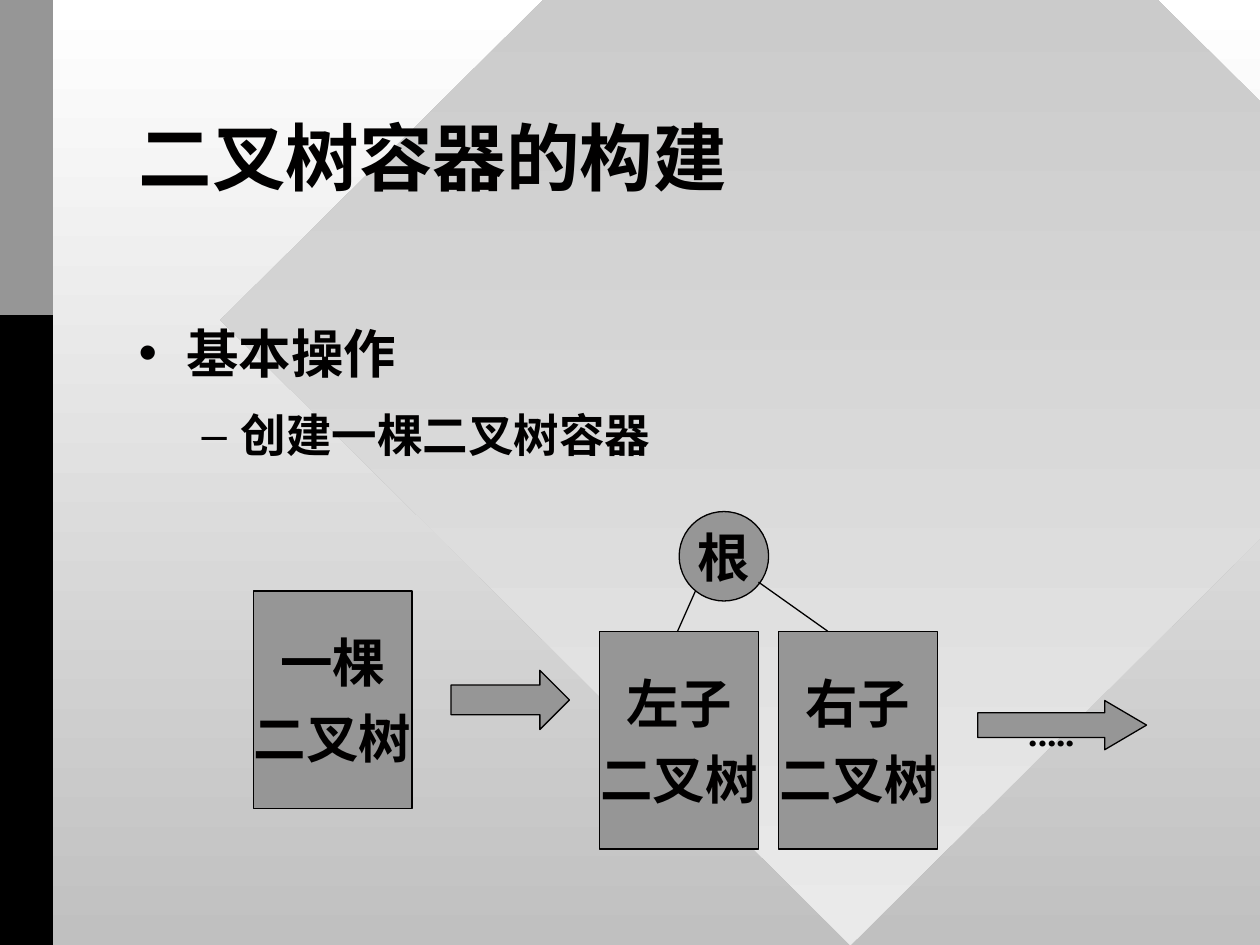
import lxml.etree
import pptx
import pptx.util
import pptx.dml.color
import pptx.enum.shapes
import pptx.enum.text
import pptx.oxml.ns

Inches, Pt = pptx.util.Inches, pptx.util.Pt
RGBColor = pptx.dml.color.RGBColor
MSO_SHAPE = pptx.enum.shapes.MSO_SHAPE
PP_ALIGN = pptx.enum.text.PP_ALIGN
MSO_ANCHOR = pptx.enum.text.MSO_ANCHOR
MSO_AUTO_SIZE = pptx.enum.text.MSO_AUTO_SIZE

INK = RGBColor(0x01, 0x00, 0x00)
BLACK = RGBColor(0x00, 0x00, 0x00)
WHITE = RGBColor(0xFF, 0xFF, 0xFF)
GRAY = RGBColor(0x96, 0x96, 0x96)
SILVER = RGBColor(0xC0, 0xC0, 0xC0)
PALE = RGBColor(0xEA, 0xEA, 0xEA)


def add_xml(parent, tag, **attributes):
    return lxml.etree.SubElement(parent, pptx.oxml.ns.qn(tag), **attributes)


class SlideBuilder:
    font = "Karla"
    size = 30
    line_width = 0.75

    def __init__(self, slide):
        self.s = slide

    def style(self, p, size=None, bold=True):
        p.font.name = self.font
        p.font.size = Pt(size or self.size)
        p.font.bold = bold
        p.font.color.rgb = INK

    def gradient(self, fill, top, bottom):
        fill.gradient()
        fill.gradient_angle = 270
        for stop, color in zip(fill.gradient_stops, (top, bottom)):
            stop.color.rgb = color

    def shape(self, kind, box, color=None):
        sp = self.s.shapes.add_shape(kind, *map(Inches, box))
        sp.shadow.inherit = False
        sp.line.fill.background()
        if color is not None:
            sp.fill.solid()
            sp.fill.fore_color.rgb = color
        return sp

    def node(self, kind, box, lines=(), bold=True):
        sp = self.shape(kind, box, GRAY)
        sp.line.color.rgb = INK
        sp.line.width = Pt(self.line_width)
        tf = sp.text_frame
        tf.word_wrap = False
        tf.vertical_anchor = MSO_ANCHOR.MIDDLE
        tf.text = "\n".join(lines)
        for i, p in enumerate(tf.paragraphs):
            p.alignment = PP_ALIGN.CENTER
            p.space_before = Pt(7.5 if i else 0)
            self.style(p, bold=bold)
        return sp

    def line(self, start, end):
        ln = self.s.shapes.add_connector(
            pptx.enum.shapes.MSO_CONNECTOR.STRAIGHT, *map(Inches, start + end))
        ln.line.color.rgb = INK
        ln.line.width = Pt(self.line_width)
        add_xml(ln.element.spPr, "a:effectLst")

    def placeholder(self, sp, box, text, anchor):
        sp.left, sp.top, sp.width, sp.height = map(Inches, box)
        sp.element.getparent().append(sp.element)  # in front of the backdrop
        tf = sp.text_frame
        tf.text = text
        tf.word_wrap = True
        tf.auto_size = MSO_AUTO_SIZE.NONE
        tf.vertical_anchor = anchor
        return tf

    def title(self, box, text):
        tf = self.placeholder(self.s.shapes.title, box, text, MSO_ANCHOR.MIDDLE)
        p = tf.paragraphs[0]
        p.alignment = PP_ALIGN.LEFT
        p.line_spacing = 0.85
        self.style(p, 42)

    def bullets(self, box, items):
        text = "\n".join(item[0] for item in items)
        tf = self.placeholder(self.s.placeholders[1], box, text, MSO_ANCHOR.TOP)
        for p, (_, level, char, size, left, hang, before) in zip(tf.paragraphs, items):
            p.level = level
            p.space_before = Pt(before)
            pPr = p._p.get_or_add_pPr()
            pPr.set("marL", str(Inches(left)))
            pPr.set("indent", str(Inches(-hang)))
            add_xml(add_xml(pPr, "a:buClr"), "a:srgbClr", val=str(INK))
            add_xml(pPr, "a:buChar", char=char)
            self.style(p, size)


def main():
    prs = pptx.Presentation()
    prs.slide_width, prs.slide_height = Inches(10), Inches(7.5)
    b = SlideBuilder(prs.slides.add_slide(prs.slide_layouts[1]))

    # Backdrop
    b.gradient(b.s.background.fill, WHITE, SILVER)
    diamond = b.shape(MSO_SHAPE.DIAMOND, (1.75, -2.42, 10, 9.92))
    b.gradient(diamond.fill, SILVER, PALE)
    b.shape(MSO_SHAPE.RECTANGLE, (0, 0, 0.42, 7.5), BLACK)
    b.shape(MSO_SHAPE.RECTANGLE, (0, 0, 0.42, 2.5), GRAY)

    # Title and list: text, level, bullet, size, left, hanging, space before
    b.title((1, 0.67, 8, 1.25), "二叉树容器的构建")
    b.bullets((1, 2.5, 8.25, 4), [
        ("基本操作", 0, "•", 30, 0.38, 0.38, 0),
        ("创建一棵二叉树容器", 1, "–", 26, 0.81, 0.31, 13),
    ])

    # Root with its two branches
    b.node(MSO_SHAPE.OVAL, (5.39, 4.06, 0.71, 0.71), ["根"])
    b.line((5.52, 4.69), (5.24, 5.32))
    b.line((6.02, 4.62), (6.57, 5.01))

    # Whole tree and the two subtrees
    for left, top, name in ((2.01, 4.69, "一棵"), (4.76, 5.01, "左子"),
                            (6.18, 5.01, "右子")):
        b.node(MSO_SHAPE.RECTANGLE, (left, top, 1.26, 1.73), [name, "二叉树"])

    # Step arrows
    b.node(MSO_SHAPE.RIGHT_ARROW, (3.58, 5.32, 0.94, 0.47))
    more = b.node(MSO_SHAPE.RIGHT_ARROW, (7.76, 5.56, 1.34, 0.39), ["….."], bold=False)
    more.adjustments[1] = 0.85

    prs.save("out.pptx")


if __name__ == "__main__":
    main()
